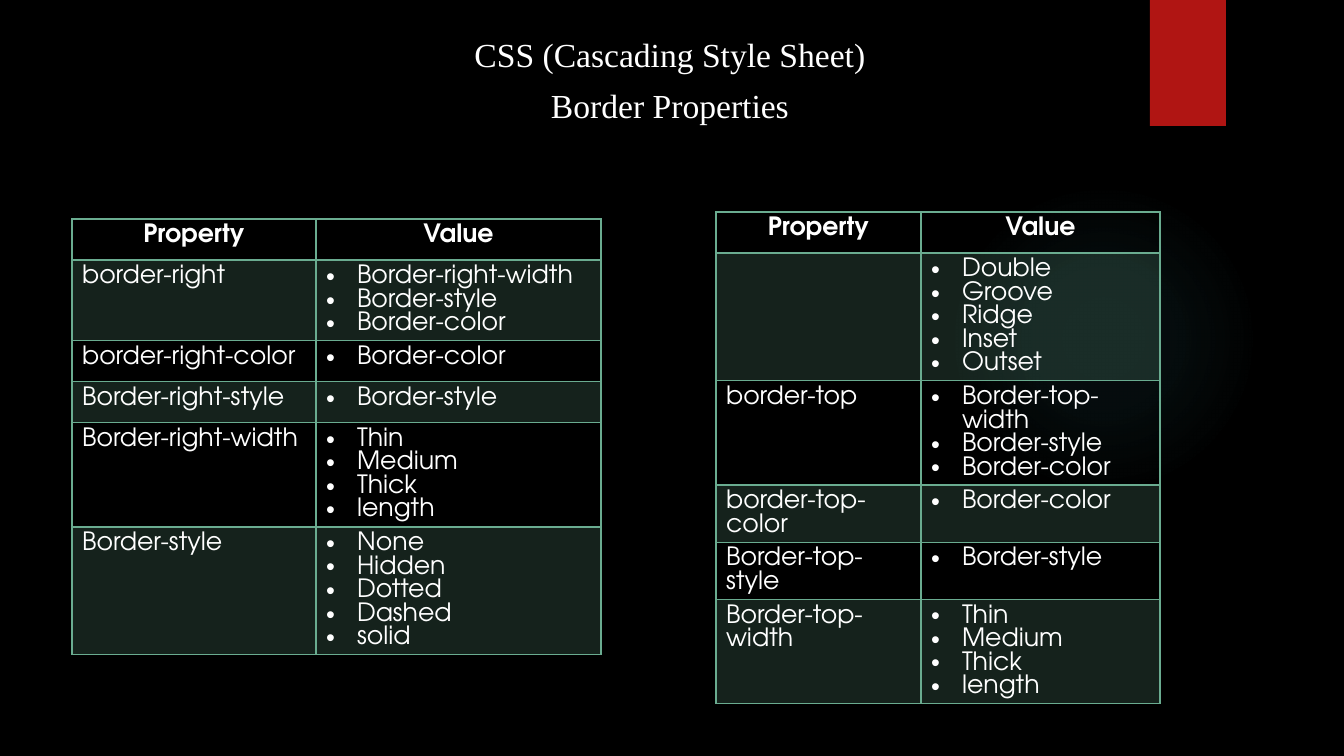
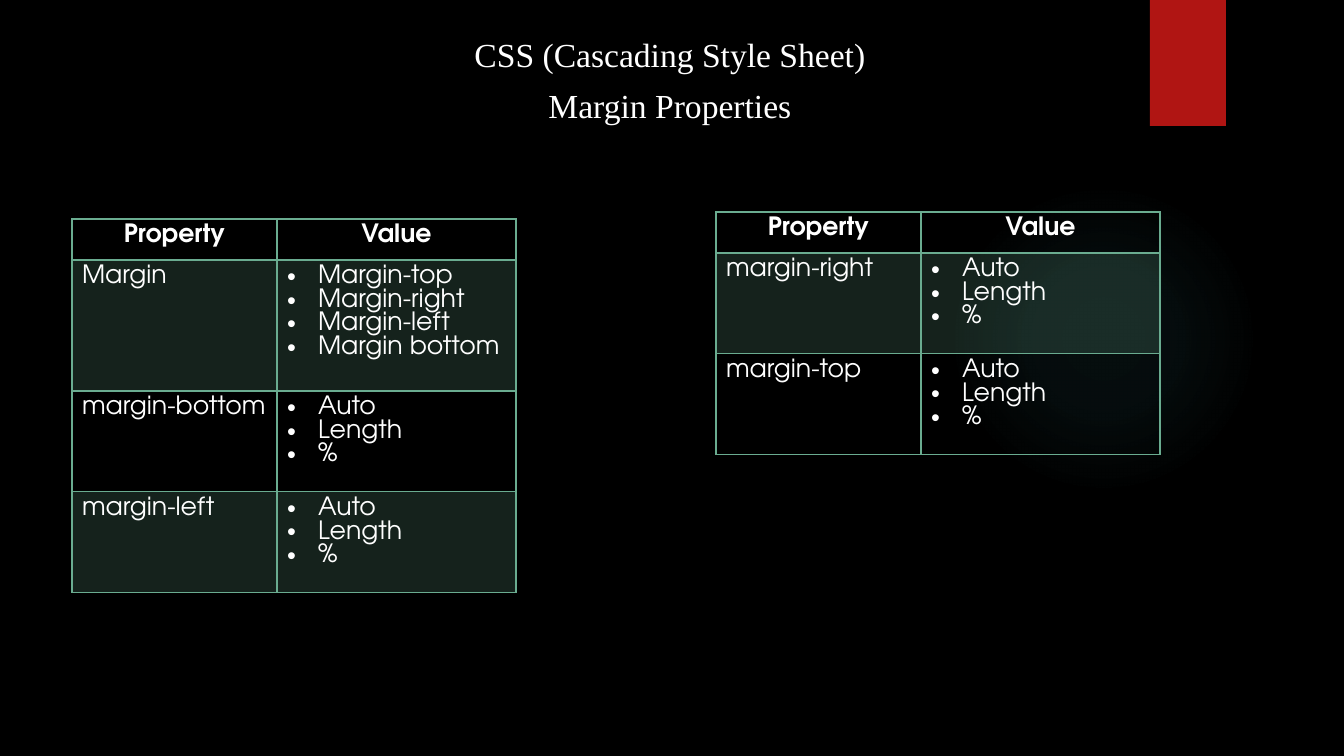
from lxml.etree import SubElement
from pptx import Presentation
from pptx.dml.color import RGBColor
from pptx.enum.shapes import MSO_SHAPE as Shape
from pptx.enum.text import MSO_ANCHOR as Anchor, PP_ALIGN as Align
from pptx.oxml import parse_xml
from pptx.oxml.ns import nsdecls, qn
from pptx.util import Pt

PIXEL = 914400 / 100.8
BLACK = RGBColor(0x00, 0x00, 0x00)
WHITE = RGBColor(0xFF, 0xFF, 0xFF)
RED = RGBColor(0xB0, 0x15, 0x13)
GREEN = RGBColor(0x6A, 0xAC, 0x90)
TEAL = RGBColor(0x50, 0xB9, 0xC1)
BODY_FONT = "TeX Gyre Adventor"
TITLE_FONT = "Times New Roman"
GLOW_STOPS = [(0, 7), (36, 6), (69, 0)]
ROW_HEIGHT = 41
BULLET_INDENT = 31
TINT = 20
WIDE = (244, 285)
NARROW = (205, 239)
LEFT_PLACE = (72, 219)
RIGHT_PLACE = (716, 212)

WIDTHS = ["Thin", "Medium", "Thick", "length"]
MARGINS = ["Auto", "Length", "%"]

SLIDES = [
    ("Border Properties", [
        (LEFT_PLACE, WIDE, [
            ("border-right", ["Border-right-width", "Border-style", "Border-color"]),
            ("border-right-color", ["Border-color"]),
            ("Border-right-style", ["Border-style"]),
            ("Border-right-width", WIDTHS),
            ("Border-style", ["None", "Hidden", "Dotted", "Dashed", "solid"]),
        ]),
        (RIGHT_PLACE, NARROW, [
            ("", ["Double", "Groove", "Ridge", "Inset", "Outset"]),
            ("border-top", ["Border-top-width", "Border-style", "Border-color"]),
            ("border-top-color", ["Border-color"]),
            ("Border-top-style", ["Border-style"]),
            ("Border-top-width", WIDTHS),
        ]),
    ]),
    ("Margin Properties", [
        (LEFT_PLACE, NARROW, [
            ("Margin", ["Margin-top", "Margin-right", "Margin-left", "Margin bottom"]),
            ("margin-bottom", MARGINS),
            ("margin-left", MARGINS),
        ]),
        (RIGHT_PLACE, NARROW, [
            ("margin-right", MARGINS),
            ("margin-top", MARGINS),
        ]),
    ]),
]


def px(length):
    return round(length * PIXEL)


def write(frame, lines, font=BODY_FONT, size=18, color=WHITE, bold=False,
          align=Align.LEFT, bullet=False, line_spacing=None, space_before=None):
    for index, line in enumerate(lines):
        para = frame.paragraphs[0] if index == 0 else frame.add_paragraph()
        para.alignment = align
        para.line_spacing = line_spacing
        para.space_before = space_before
        if bullet:
            add_bullet(para)
        if line:
            span = para.add_run()
            span.text = line
            span.font.name = font
            span.font.size = Pt(size)
            span.font.bold = bold
            span.font.color.rgb = color


def add_bullet(para):
    settings = para._p.get_or_add_pPr()
    settings.set("marL", str(px(BULLET_INDENT)))
    settings.set("indent", str(-px(BULLET_INDENT)))
    SubElement(settings, qn("a:buFont"), typeface="Arial")
    SubElement(settings, qn("a:buChar"), char="•")


def add_plain_shape(page, kind, left, top, width, height):
    shape = page.shapes.add_shape(kind, px(left), px(top), px(width), px(height))
    shape.shadow.inherit = False
    shape.line.fill.background()
    return shape


def add_glow(page):
    glow = add_plain_shape(page, Shape.OVAL, 949, 184, 310, 310)
    stops = "".join(
        f'<a:gs pos="{place * 1000}"><a:srgbClr val="{TEAL}">'
        f'<a:alpha val="{opacity * 1000}"/></a:srgbClr></a:gs>'
        for place, opacity in GLOW_STOPS)
    gradient = parse_xml(
        f'<a:gradFill {nsdecls("a")} rotWithShape="1"><a:gsLst>{stops}</a:gsLst>'
        '<a:path path="circle"><a:fillToRect l="50000" t="50000" r="50000" b="50000"/>'
        '</a:path></a:gradFill>')
    glow._element.spPr.find(qn("a:prstGeom")).addnext(gradient)


def add_ribbon(page):
    ribbon = add_plain_shape(page, Shape.RECTANGLE, 1150, 0, 76, 126)
    ribbon.fill.solid()
    ribbon.fill.fore_color.rgb = RED


def add_title(page, subject):
    box = page.shapes.add_textbox(px(166), px(32), px(1008), px(100))
    box.text_frame.word_wrap = True
    box.text_frame.vertical_anchor = Anchor.MIDDLE
    write(box.text_frame, ["CSS (Cascading Style Sheet)", subject], font=TITLE_FONT,
          size=24, align=Align.CENTER, line_spacing=0.9, space_before=Pt(10))


def add_borders(cell, top, bottom):
    for side, width in (("L", 1), ("R", 1), ("T", top), ("B", bottom)):
        line = SubElement(cell._tc.get_or_add_tcPr(), qn(f"a:ln{side}"), w=str(Pt(width)))
        paint = SubElement(line, qn("a:solidFill"))
        SubElement(paint, qn("a:srgbClr"), val=str(GREEN))


def style_cell(cell, row):
    add_borders(cell, top=2 if row == 1 else 1, bottom=2 if row == 0 else 1)
    if row % 2:
        cell.fill.solid()
        cell.fill.fore_color.rgb = GREEN
        color = cell._tc.tcPr.find(qn("a:solidFill")).find(qn("a:srgbClr"))
        SubElement(color, qn("a:alpha"), val=str(TINT * 1000))
    else:
        cell.fill.background()


def add_property_table(page, place, widths, properties):
    left, top = place
    count = len(properties) + 1
    table = page.shapes.add_table(count, 2, px(left), px(top), px(sum(widths)),
                                  px(ROW_HEIGHT * count)).table
    table.horz_banding = False
    for column, width in zip(table.columns, widths):
        column.width = px(width)
    for index, row in enumerate(table.rows):
        row.height = px(ROW_HEIGHT)
        for cell in row.cells:
            style_cell(cell, index)
    for column, heading in enumerate(("Property", "Value")):
        write(table.cell(0, column).text_frame, [heading], bold=True, align=Align.CENTER)
    for row, (name, values) in enumerate(properties, 1):
        write(table.cell(row, 0).text_frame, [name])
        write(table.cell(row, 1).text_frame, values, bullet=True)


def main():
    deck = Presentation()
    deck.slide_width, deck.slide_height = px(1344), px(756)
    backdrop = deck.slide_master.background.fill
    backdrop.solid()
    backdrop.fore_color.rgb = BLACK
    for subject, tables in SLIDES:
        page = deck.slides.add_slide(deck.slide_layouts[6])
        add_glow(page)
        add_ribbon(page)
        for place, widths, properties in tables:
            add_property_table(page, place, widths, properties)
        add_title(page, subject)
    deck.save("out.pptx")


main()
